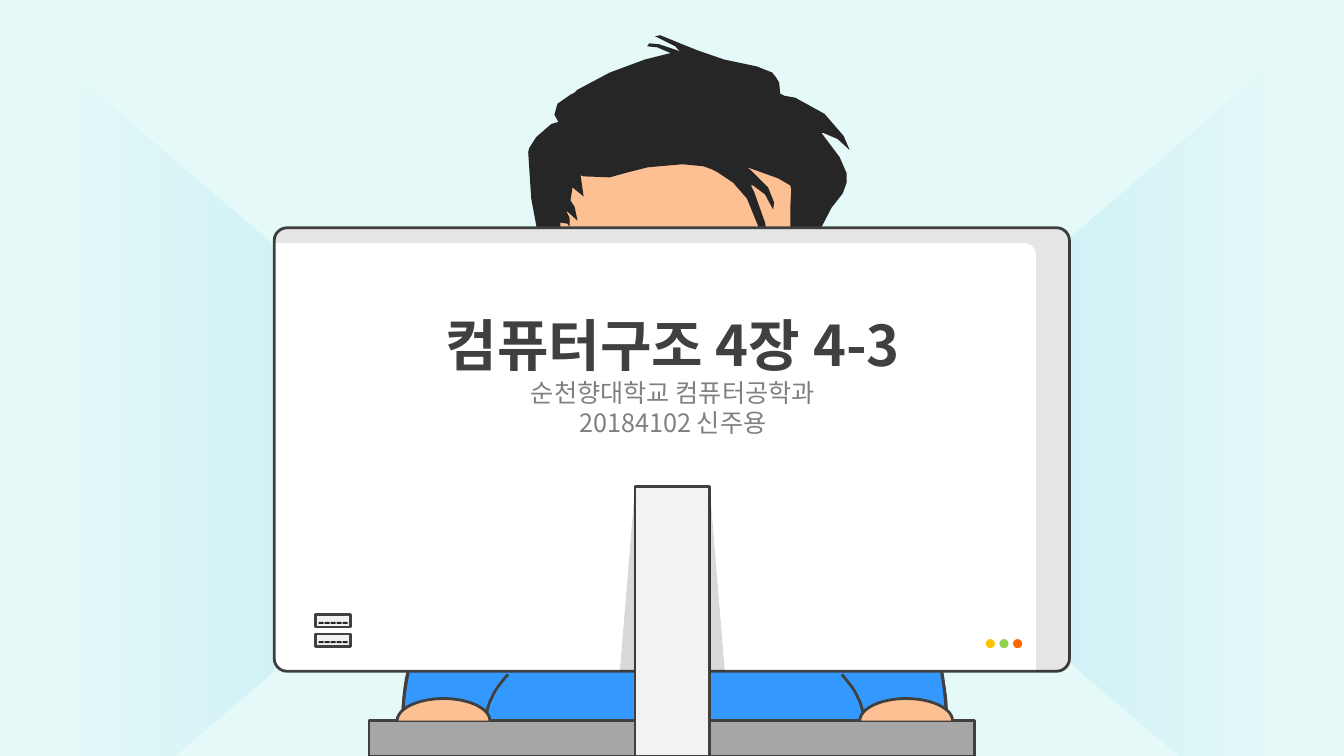
import dataclasses

import lxml.etree
import pptx
import pptx.dml.color
import pptx.enum.shapes
import pptx.enum.text
import pptx.oxml.ns
import pptx.util

Pt = pptx.util.Pt
SHAPE = pptx.enum.shapes.MSO_SHAPE


@dataclasses.dataclass(frozen=True)
class Theme:
    """Colours and type sizes of the slide."""
    background: str = "E5F9F8"
    wall: str = "00B0F0"
    outline: str = "404040"
    shirt: str = "3399FF"
    skin: str = "FCC093"
    dark: str = "262626"
    screen: str = "FFFFFF"
    desk: str = "A6A6A6"
    metal: str = "F2F2F2"
    shade: str = "000000"
    lights: tuple = ("FFC000", "92D050", "FF6600")
    subtitle: str = "808080"
    font: str = "Noto Sans CJK KR"
    title_size: int = 40
    subtitle_size: int = 18
    line_width: int = 2


THEME = Theme()

# Outlines use hundredths of an inch (0.72 pt): pairs are corners, sixes are curves.
BODY = [
    (397, 728), (401, 715, 398, 672, 411, 651), (425, 630, 448, 611, 475, 603),
    (502, 594, 518, 600, 571, 600), (624, 600, 737, 600, 793, 603),
    (849, 606, 884, 610, 907, 618), (930, 626, 926, 632, 931, 649),
    (936, 667, 940, 710, 939, 724), (937, 738, 925, 731, 919, 734),
    (914, 736, 915, 740, 906, 740), (896, 741, 863, 738, 863, 738), (631, 739),
    (557, 738, 498, 735, 453, 732), (408, 729, 394, 735, 385, 734),
    (375, 733, 392, 742, 397, 728)]
FACE = [
    (544, 186), (543, 206, 531, 269, 547, 292), (563, 314, 612, 316, 642, 319),
    (672, 323, 704, 319, 726, 311), (749, 303, 764, 286, 776, 274),
    (789, 261, 796, 253, 801, 238), (807, 222, 813, 197, 810, 181),
    (807, 165, 806, 151, 783, 142), (760, 133, 704, 125, 671, 126),
    (638, 128, 602, 144, 583, 151), (564, 159, 563, 165, 557, 171),
    (550, 177, 546, 166, 544, 186)]
HAIR = [
    (550, 297), (547, 292), (540, 272), (534, 237), (533, 229), (527, 197),
    (524, 151), (525, 147), (532, 136), (547, 123), (554, 121), (550, 114),
    (553, 103), (566, 94), (570, 92), (573, 89), (605, 72), (640, 59),
    (664, 53), (666, 53), (652, 47), (642, 46), (644, 43), (654, 44),
    (672, 50), (675, 52), (670, 46), (650, 36), (655, 35), (677, 44),
    (692, 50), (718, 59), (751, 66), (766, 72), (770, 77), (773, 82),
    (774, 93), (778, 95), (789, 97), (818, 113), (837, 135), (843, 149),
    (831, 138), (817, 132), (815, 132), (818, 136), (833, 156), (840, 172),
    (840, 181), (836, 192), (825, 206), (810, 235), (803, 257), (801, 271),
    (796, 292), (792, 301), (790, 302), (787, 299), (784, 269), (784, 206),
    (785, 188), (784, 184), (772, 177), (747, 168), (741, 166), (745, 169),
    (762, 186), (768, 201), (767, 208), (759, 193), (747, 184), (745, 184),
    (748, 190), (759, 221), (761, 234), (758, 241), (756, 243), (752, 224),
    (741, 197), (727, 181), (712, 171), (706, 168), (698, 165), (677, 163),
    (643, 166), (623, 171), (605, 176), (579, 175), (576, 174), (579, 195),
    (568, 186), (566, 199), (570, 205), (573, 219), (563, 210), (562, 210),
    (565, 216), (565, 225), (563, 222), (557, 221), (556, 221), (556, 231),
    (556, 273), (554, 294)]
MONITOR_SHADE = [
    (285, 227), (1048, 227), (1055, 227, 1061, 233, 1061, 240), (1061, 654),
    (1061, 662, 1055, 667, 1048, 667), (1028, 667), (1028, 254),
    (1028, 246, 1023, 241, 1015, 241), (272, 241), (272, 240),
    (272, 233, 278, 227, 285, 227)]
SLEEVES = [
    [(482, 714), (483, 706, 484, 699, 488, 692), (491, 684, 498, 676, 504, 669)],
    [(400, 714), (400, 706, 400, 699, 401, 691), (402, 684, 403, 676, 405, 668)]]
MIRROR_SUM = 1339


def rgb(value):
    """Turn a hex string into a colour."""
    return pptx.dml.color.RGBColor.from_string(value)


def set_alpha(color_node, percent):
    """Give a colour element an opacity."""
    alpha = lxml.etree.SubElement(color_node, pptx.oxml.ns.qn("a:alpha"))
    alpha.set("val", str(percent * 1000))


def color_nodes(shape):
    """List the explicit colour elements of a shape."""
    return list(shape._element.spPr.iter(pptx.oxml.ns.qn("a:srgbClr")))


def paint(shape, fill=None, outlined=False, opacity=None):
    """Set fill, opacity and outline, without a shadow."""
    shape.shadow.inherit = False
    if fill:
        shape.fill.solid()
        shape.fill.fore_color.rgb = rgb(fill)
    else:
        shape.fill.background()
    if opacity is not None:
        set_alpha(color_nodes(shape)[0], opacity)
    if outlined:
        shape.line.color.rgb = rgb(THEME.outline)
        shape.line.width = Pt(THEME.line_width)
    else:
        shape.line.fill.background()


def add_preset(page, kind, bounds, adjustment=None, rotation=0, flips=(), **look):
    """Add a preset shape; bounds are left, top, width, height in points."""
    shape = page.shapes.add_shape(kind, *map(Pt, bounds))
    if adjustment is not None:
        shape.adjustments[0] = adjustment
    shape.rotation = rotation
    for flip in flips:
        shape._element.spPr.xfrm.set(flip, "1")
    paint(shape, **look)
    return shape


def flatten(outline, steps=10):
    """Turn corners and cubic curves into a list of points."""
    points = [outline[0]]
    for segment in outline[1:]:
        if len(segment) == 2:
            points.append(segment)
            continue
        controls = [points[-1], segment[:2], segment[2:4], segment[4:]]
        for step in range(1, steps + 1):
            t = step / steps
            weights = ((1 - t) ** 3, 3 * t * (1 - t) ** 2, 3 * t * t * (1 - t), t ** 3)
            points.append(tuple(sum(w * c[axis] for w, c in zip(weights, controls))
                                for axis in (0, 1)))
    return points


def add_outline(page, outline, closed=True, **look):
    """Add a freeform, on a grid of eight steps to each outline unit."""
    points = [(x * 8, y * 8) for x, y in flatten(outline)]
    builder = page.shapes.build_freeform(*points[0], scale=Pt(0.09))
    builder.add_line_segments(points[1:], close=closed)
    paint(builder.convert_to_shape(), **look)


def add_wall(page, left, top, rotation, flips):
    """Add a side wall that fades out away from the monitor."""
    wall = add_preset(page, SHAPE.TRAPEZOID, (left, top, 581.76, 162), 0.857,
                      rotation, flips)
    wall.fill.gradient()
    wall.fill.gradient_angle = 90
    for stop in wall.fill.gradient_stops:
        stop.color.rgb = rgb(THEME.wall)
    for node, opacity in zip(color_nodes(wall), (0, 9)):
        set_alpha(node, opacity)


def add_port(page, top):
    """Add a monitor port with five pins."""
    add_preset(page, SHAPE.RECTANGLE, (225.36, top, 25.2, 8.64),
               fill=THEME.metal, outlined=True)
    for pin in range(5):
        add_preset(page, SHAPE.RECTANGLE, (227.52 + pin * 4.32, top + 5.04, 3.6, 1.44),
                   fill=THEME.dark)


def add_heading(page, lines):
    """Add the centred text; each line is text, line height and font format."""
    box = page.shapes.add_textbox(Pt(240.48), Pt(217.44), Pt(480.24), Pt(99.36))
    box.text_frame.word_wrap = True
    for index, (text, height, look) in enumerate(lines):
        para = box.text_frame.paragraphs[0] if index == 0 else box.text_frame.add_paragraph()
        para.alignment = pptx.enum.text.PP_ALIGN.CENTER
        para.line_spacing = Pt(height)
        span = para.add_run()
        span.text = text
        for name, value in look.items():
            if name == "color":
                span.font.color.rgb = rgb(value)
            else:
                setattr(span.font, name, value)
        east_asian = lxml.etree.SubElement(span.font._element, pptx.oxml.ns.qn("a:ea"))
        east_asian.set("typeface", THEME.font)


def main():
    """Build and save the slide."""
    deck = pptx.Presentation()
    deck.slide_width, deck.slide_height = Pt(960), Pt(540)
    page = deck.slides.add_slide(deck.slide_layouts[6])
    page.background.fill.solid()
    page.background.fill.fore_color.rgb = rgb(THEME.background)

    add_wall(page, -176.4, 246.24, 270, ("flipV",))
    add_wall(page, 554.4, 240.48, 90, ("flipH", "flipV"))
    add_outline(page, BODY, fill=THEME.shirt, outlined=True)
    add_outline(page, FACE, fill=THEME.skin)
    add_outline(page, HAIR, fill=THEME.dark)

    add_preset(page, SHAPE.ROUNDED_RECTANGLE, (195.84, 162.72, 568.08, 316.8), 0.029,
               fill=THEME.screen, outlined=True)
    add_preset(page, SHAPE.RECTANGLE, (263.52, 514.8, 432.72, 25.2),
               fill=THEME.desk, outlined=True)
    add_preset(page, SHAPE.RECTANGLE, (453.6, 347.76, 53.28, 192.24),
               fill=THEME.metal, outlined=True)
    for left, flips in ((442.8, ("flipH",)), (506.88, ())):
        add_preset(page, SHAPE.RIGHT_TRIANGLE, (left, 347.76, 10.8, 131.76),
                   flips=flips, fill=THEME.shade, opacity=15)

    mirrored = [[tuple(MIRROR_SUM - value if place % 2 == 0 else value
                       for place, value in enumerate(segment))
                 for segment in sleeve] for sleeve in SLEEVES]
    for sleeves, hand_left in ((SLEEVES, 308.88), (mirrored, 639.36)):
        for sleeve in sleeves:
            add_outline(page, sleeve, closed=False, outlined=True)
        add_preset(page, SHAPE.LEFT_BRACKET, (hand_left, 473.76, 15.84, 66.24), 2.142,
                   rotation=90, fill=THEME.skin, outlined=True)

    add_outline(page, MONITOR_SHADE, fill=THEME.shade, opacity=10)
    for top in (439.2, 452.88):
        add_port(page, top)
    for index, color in enumerate(THEME.lights):
        add_preset(page, SHAPE.OVAL, (704.16 + index * 9.72, 456.48, 6.48, 6.48), fill=color)

    title = {"name": THEME.font, "size": Pt(THEME.title_size), "bold": True,
             "color": THEME.outline}
    subtitle = {"name": THEME.font, "size": Pt(THEME.subtitle_size), "bold": False,
                "color": THEME.subtitle}
    add_heading(page, [("컴퓨터구조 4장 4-3", 49, title),
                       ("순천향대학교 컴퓨터공학과", 21.4, subtitle),
                       ("20184102 신주용", 21.4, subtitle)])
    deck.save("out.pptx")


main()
